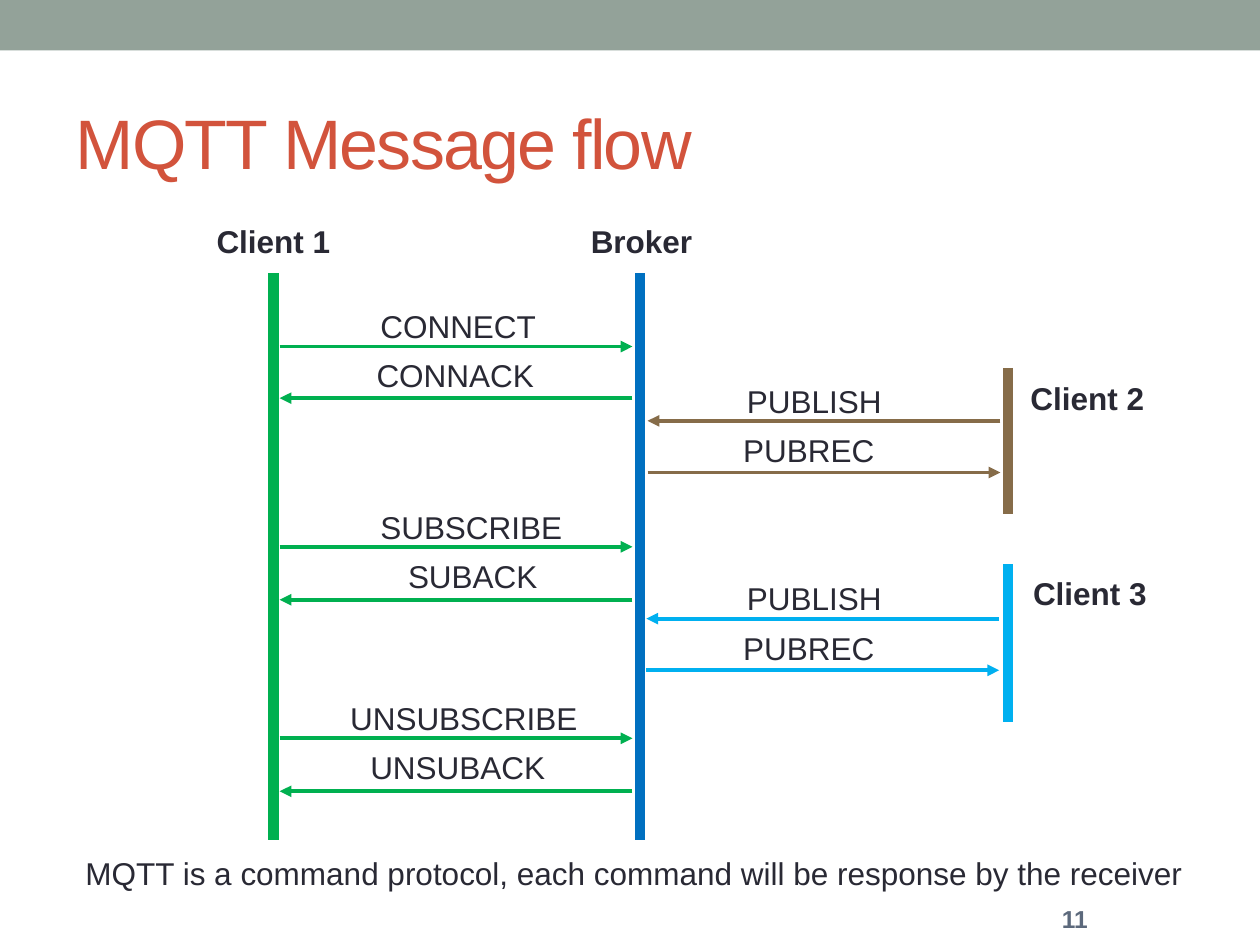
from dataclasses import dataclass

from pptx import Presentation
from pptx.dml.color import RGBColor
from pptx.enum.shapes import MSO_CONNECTOR as Connector, MSO_SHAPE as Shape
from pptx.enum.text import MSO_ANCHOR as Anchor, MSO_AUTO_SIZE as AutoSize, PP_ALIGN as Align
from pptx.oxml.ns import qn
from pptx.slide import Slide
from pptx.text.text import TextFrame
from pptx.util import Inches, Pt

GREEN, BLUE, BROWN, CYAN = "00B050", "0070C0", "866C49", "00B0F0"
DARK, RED, GREY, SAGE = "292934", "D2533C", "5C697C", "93A299"
ARROW_LENGTH = 2.8
LABEL_HEIGHT = 0.4
REQUEST_RISE = 0.36
REPLY_DROP = 0.03


@dataclass
class Lifeline:
    name: str
    x: float
    top: float
    bottom: float
    color: str
    label_left: float
    label_top: float
    label_width: float


@dataclass
class Label:
    text: str
    left: float
    width: float


@dataclass
class Exchange:
    left: float
    request_y: float
    reply_y: float
    color: str
    request: Label
    reply: Label
    rightward: bool


LIFELINES = [
    Lifeline("Client 1", 2.17, 2.17, 6.67, GREEN, 1.62, 1.71, 1.12),
    Lifeline("Broker", 5.08, 2.17, 6.67, BLUE, 4.59, 1.71, 1.02),
    Lifeline("Client 2", 8, 2.92, 4.08, BROWN, 8.08, 2.96, 1.12),
    Lifeline("Client 3", 8, 4.48, 5.73, CYAN, 8.1, 4.51, 1.12),
]
PUBLISH = Label("PUBLISH", 5.83, 1.29)
PUBREC = Label("PUBREC", 5.8, 1.26)
EXCHANGES = [
    Exchange(2.22, 2.75, 3.16, GREEN, Label("CONNECT", 2.92, 1.45),
             Label("CONNACK", 2.89, 1.47), True),
    Exchange(2.22, 4.34, 4.76, GREEN, Label("SUBSCRIBE", 2.92, 1.66),
             Label("SUBACK", 3.14, 1.24), True),
    Exchange(2.22, 5.86, 6.28, GREEN, Label("UNSUBSCRIBE", 2.68, 2.02),
             Label("UNSUBACK", 2.84, 1.61), True),
    Exchange(5.14, 3.34, 3.75, BROWN, PUBLISH, PUBREC, False),
    Exchange(5.13, 4.91, 5.32, CYAN, PUBLISH, PUBREC, False),
]


def rgb(color: str) -> RGBColor:
    return RGBColor.from_string(color)


def set_values(target: object, values: dict) -> None:
    for name, value in values.items():
        setattr(target, name, value)


def write(frame: TextFrame, text: str, size: float, color: str, bold: bool = False) -> None:
    paragraph = frame.paragraphs[0]
    paragraph.alignment = Align.LEFT
    run = paragraph.add_run()
    run.text = text
    set_values(run.font, {"name": "Arial", "size": Pt(size), "bold": bold})
    run.font.color.rgb = rgb(color)


def add_text(slide: Slide, text: str, left: float, top: float, width: float,
             height: float = LABEL_HEIGHT, size: float = 18, color: str = DARK,
             bold: bool = False, **frame_values) -> None:
    box = slide.shapes.add_textbox(Inches(left), Inches(top), Inches(width), Inches(height))
    set_values(box.text_frame, {"word_wrap": False, "auto_size": AutoSize.SHAPE_TO_FIT_TEXT,
                                **frame_values})
    write(box.text_frame, text, size, color, bold)


def add_line(slide: Slide, start: tuple[float, float], end: tuple[float, float],
             color: str, width: float, arrow: bool = False) -> None:
    points = [Inches(value) for value in (*start, *end)]
    connector = slide.shapes.add_connector(Connector.STRAIGHT, *points)
    connector.line.color.rgb = rgb(color)
    connector.line.width = Pt(width)
    properties = connector._element.spPr
    if arrow:
        line = connector.line._get_or_add_ln()
        tail = line.makeelement(qn("a:tailEnd"), {"type": "triangle"})
        line.append(tail)
    properties.append(properties.makeelement(qn("a:effectLst"), {}))


def add_lifeline(slide: Slide, lifeline: Lifeline) -> None:
    add_line(slide, (lifeline.x, lifeline.top), (lifeline.x, lifeline.bottom), lifeline.color, 6)
    add_text(slide, lifeline.name, lifeline.label_left, lifeline.label_top,
             lifeline.label_width, bold=True)


def add_exchange(slide: Slide, exchange: Exchange) -> None:
    sender, receiver = exchange.left, exchange.left + ARROW_LENGTH
    if not exchange.rightward:
        sender, receiver = receiver, sender
    for start, end, y in ((sender, receiver, exchange.request_y),
                          (receiver, sender, exchange.reply_y)):
        add_line(slide, (start, y), (end, y), exchange.color, 2.25, arrow=True)
    for label, offset in ((exchange.request, -REQUEST_RISE), (exchange.reply, REPLY_DROP)):
        add_text(slide, label.text, label.left, exchange.request_y + offset, label.width)


def add_header(slide: Slide) -> None:
    band = slide.shapes.add_shape(Shape.RECTANGLE, 0, 0, Inches(10), Inches(0.4))
    band.shadow.inherit = False
    band.fill.solid()
    band.fill.fore_color.rgb = rgb(SAGE)
    band.line.fill.background()
    title = slide.shapes.title
    set_values(title, {"left": Inches(0.5), "top": Inches(0.58),
                       "width": Inches(9), "height": Inches(1.08)})
    title.text_frame.vertical_anchor = Anchor.MIDDLE
    write(title.text_frame, "MQTT Message flow", 40, RED)
    title.text_frame.paragraphs[0].runs[0].font._element.set("spc", "-100")


def main() -> None:
    presentation = Presentation()
    set_values(presentation, {"slide_width": Inches(10), "slide_height": Inches(7.5)})
    slide = presentation.slides.add_slide(presentation.slide_layouts[5])
    add_header(slide)
    for lifeline in LIFELINES:
        add_lifeline(slide, lifeline)
    for exchange in EXCHANGES:
        add_exchange(slide, exchange)
    add_text(slide, "MQTT is a command protocol, each command will be response by the receiver",
             0.58, 6.73, 9.28, word_wrap=True)
    add_text(slide, "11", 8.33, 7.11, 1.17, 0.36, 14, GREY, True, word_wrap=True,
             auto_size=AutoSize.NONE, vertical_anchor=Anchor.MIDDLE)
    presentation.save("out.pptx")


if __name__ == "__main__":
    main()
